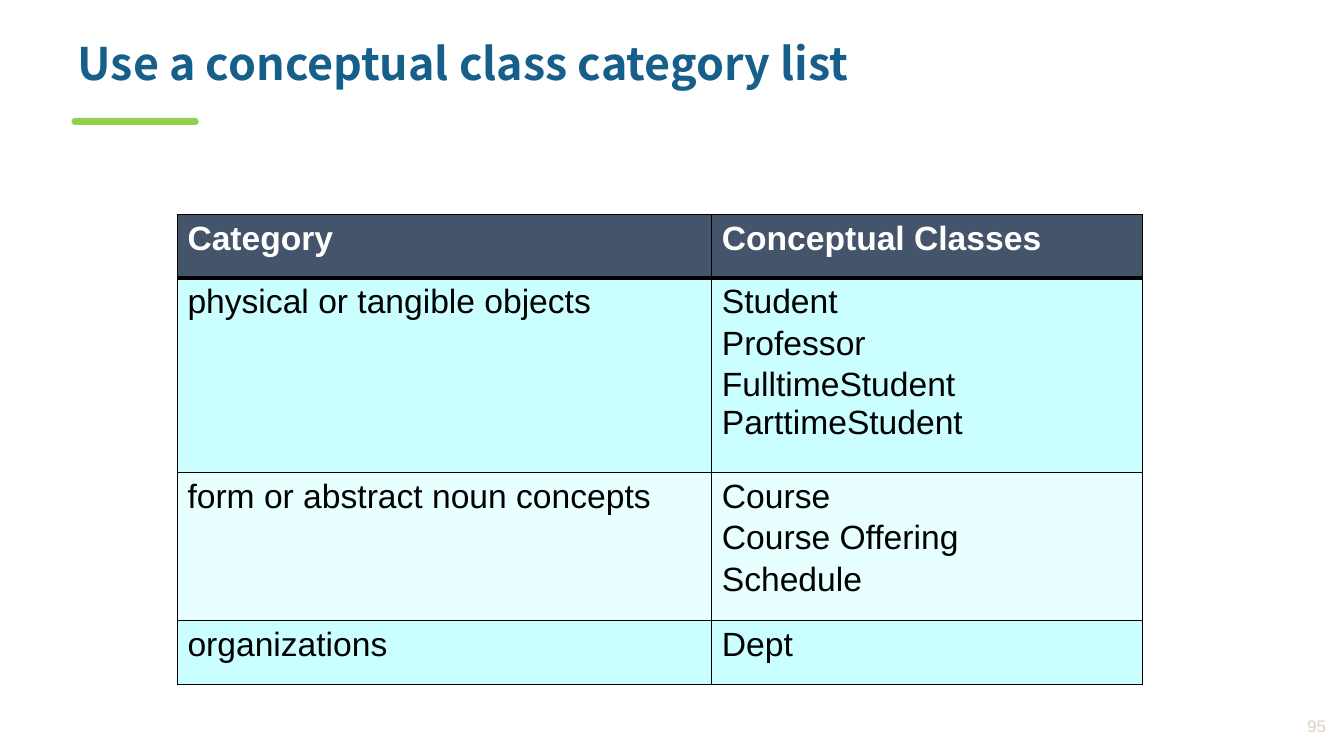
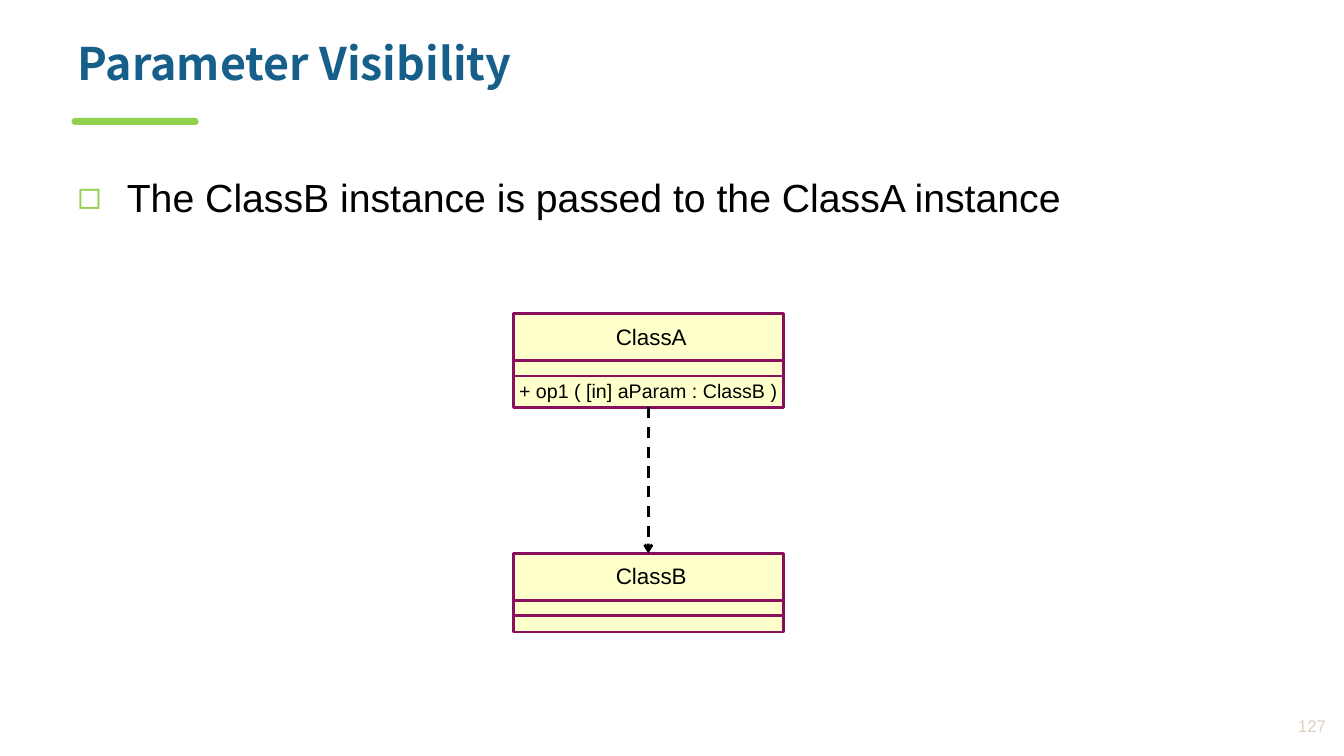
from dataclasses import dataclass

from lxml.etree import SubElement
from pptx import Presentation
from pptx.dml.color import RGBColor
from pptx.enum.dml import MSO_LINE
from pptx.enum.shapes import MSO_CONNECTOR, MSO_SHAPE
from pptx.enum.text import MSO_ANCHOR, MSO_AUTO_SIZE, PP_ALIGN
from pptx.oxml.ns import qn
from pptx.util import Inches, Pt

TITLE_BLUE = RGBColor(0x17, 0x5F, 0x8B)
ACCENT_GREEN = RGBColor(0x92, 0xD0, 0x50)
NUMBER_BEIGE = RGBColor(0xE0, 0xCF, 0xBD)
HEADER_SLATE = RGBColor(0x44, 0x54, 0x6A)
ROW_CYAN = RGBColor(0xCB, 0xFF, 0xFF)
ROW_PALE = RGBColor(0xE7, 0xFF, 0xFF)
CLASS_YELLOW = RGBColor(0xFF, 0xFF, 0xCC)
CLASS_PURPLE = RGBColor(0x8A, 0x0E, 0x5E)
BLACK = RGBColor(0, 0, 0)
WHITE = RGBColor(0xFF, 0xFF, 0xFF)
BODY_FONT = "Arial"
TITLE_FONT = "Noto Sans CJK SC"

CLASS_LEFT = 5.09
CLASS_WIDTH = 2.68
DIVIDER_OFFSETS = (0.47, 0.62)


@dataclass(frozen=True)
class CategoryRow:
    """One row of the category table."""

    category: str
    classes: tuple[str, ...]
    height: float
    fill: RGBColor


@dataclass(frozen=True)
class ClassBox:
    """A class with its name, attribute and operation compartments."""

    name: str
    top: float
    height: float


CATEGORY_ROWS = (
    CategoryRow("Category", ("Conceptual Classes",), 0.63, HEADER_SLATE),
    CategoryRow(
        "physical or tangible objects",
        ("Student", "Professor", "FulltimeStudent ParttimeStudent"),
        1.93,
        ROW_CYAN,
    ),
    CategoryRow(
        "form or abstract noun concepts",
        ("Course", "Course Offering", "Schedule"),
        1.47,
        ROW_PALE,
    ),
    CategoryRow("organizations", ("Dept",), 0.63, ROW_CYAN),
)
CLASS_A = ClassBox("ClassA", 3.11, 0.93)
CLASS_B = ClassBox("ClassB", 5.49, 0.78)


def style_font(paragraph, size: float, color: RGBColor, bold: bool = False, name: str = BODY_FONT) -> None:
    """Format every run of a paragraph."""
    for run in paragraph.runs:
        run.font.size = Pt(size)
        run.font.bold = bold
        run.font.color.rgb = color
        run.font.name = name
        properties = run.font._element
        SubElement(properties, qn("a:ea")).set("typeface", name)


def add_text(slide, left: float, top: float, width: float, height: float, text: str, size: float, color: RGBColor):
    """Add a wrapping text box and return it."""
    shape = slide.shapes.add_textbox(Inches(left), Inches(top), Inches(width), Inches(height))
    shape.text_frame.word_wrap = True
    shape.text_frame.text = text
    style_font(shape.text_frame.paragraphs[0], size, color)
    return shape


def add_filled_shape(slide, kind, left: float, top: float, width: float, height: float, fill: RGBColor):
    """Add a flat preset shape without an outline and return it."""
    shape = slide.shapes.add_shape(kind, Inches(left), Inches(top), Inches(width), Inches(height))
    shape.shadow.inherit = False
    shape.fill.solid()
    shape.fill.fore_color.rgb = fill
    shape.line.fill.background()
    return shape


def add_line(slide, start: tuple[float, float], end: tuple[float, float], color: RGBColor):
    """Add a straight two-point line and return it."""
    connector = slide.shapes.add_connector(MSO_CONNECTOR.STRAIGHT, *map(Inches, start + end))
    connector.line.color.rgb = color
    connector.line.width = Pt(2)
    SubElement(connector._element.spPr, qn("a:effectLst"))
    return connector


def add_titled_slide(presentation, title: str, number: int):
    """Add a slide with the shared title, accent bar and page number."""
    slide = presentation.slides.add_slide(presentation.slide_layouts[5])
    bar = add_filled_shape(slide, MSO_SHAPE.ROUND_2_SAME_RECTANGLE, 0.71, 1.17, 1.26, 0.07, ACCENT_GREEN)
    bar.adjustments[0] = bar.adjustments[1] = 0.5

    shape = slide.shapes.title
    shape.left, shape.top = Inches(0.67), Inches(0.41)
    shape.width, shape.height = Inches(12.19), Inches(0.75)
    frame = shape.text_frame
    frame.text = title
    frame.auto_size = MSO_AUTO_SIZE.NONE
    frame.vertical_anchor = MSO_ANCHOR.TOP
    frame.margin_top = 0
    paragraph = frame.paragraphs[0]
    paragraph.alignment = PP_ALIGN.LEFT
    paragraph.line_spacing = 0.9
    style_font(paragraph, 32, TITLE_BLUE, bold=True, name=TITLE_FONT)

    page = add_text(slide, 12.12, 7.01, 1.13, 0.38, str(number), 12, NUMBER_BEIGE)
    page.text_frame.vertical_anchor = MSO_ANCHOR.MIDDLE
    page.text_frame.paragraphs[0].alignment = PP_ALIGN.RIGHT
    return slide


def set_borders(cell, top: float, bottom: float) -> None:
    """Draw black borders around a cell, one point wide at the sides."""
    properties = cell._tc.get_or_add_tcPr()
    for side, width in (("L", 1), ("R", 1), ("T", top), ("B", bottom)):
        border = SubElement(properties, qn(f"a:ln{side}"), w=str(Pt(width)))
        fill = SubElement(border, qn("a:solidFill"))
        SubElement(fill, qn("a:srgbClr"), val=str(BLACK))


def add_category_table(slide, rows: tuple[CategoryRow, ...]) -> None:
    """Add the table of categories and their conceptual classes."""
    height = sum(row.height for row in rows)
    frame = slide.shapes.add_table(len(rows), 2, Inches(1.76), Inches(2.13), Inches(9.57), Inches(height))
    table = frame.table
    for column, width in zip(table.columns, (5.3, 4.27)):
        column.width = Inches(width)
    for index, row in enumerate(rows):
        table.rows[index].height = Inches(row.height)
        is_header = index == 0
        for cell, lines in zip(table.rows[index].cells, ((row.category,), row.classes)):
            set_borders(cell, 3 if index == 1 else 1, 3 if is_header else 1)
            cell.fill.solid()
            cell.fill.fore_color.rgb = row.fill
            cell.text_frame.text = "\n".join(lines)
            for position, paragraph in enumerate(cell.text_frame.paragraphs):
                if position:
                    paragraph.space_before = Pt(3)
                style_font(paragraph, 24, WHITE if is_header else BLACK, bold=is_header)


def add_bullet(slide, text: str) -> None:
    """Add the body statement with a square bullet."""
    shape = add_text(slide, 0.67, 1.48, 12.2, 1.01, text, 28, BLACK)
    shape.text_frame.margin_top = Inches(0.1)
    paragraph = shape.text_frame.paragraphs[0]
    paragraph.line_spacing = 1.3
    paragraph.space_after = Pt(3)
    properties = paragraph._p.get_or_add_pPr()
    properties.set("marL", str(Inches(0.49)))
    properties.set("indent", str(-Inches(0.49)))
    color = SubElement(properties, qn("a:buClr"))
    SubElement(color, qn("a:srgbClr"), val=str(ACCENT_GREEN))
    SubElement(properties, qn("a:buFont"), typeface=BODY_FONT)
    SubElement(properties, qn("a:buChar"), char="◻")


def add_class_box(slide, box: ClassBox):
    """Draw a class and return its outline."""
    outline = add_filled_shape(
        slide, MSO_SHAPE.RECTANGLE, CLASS_LEFT, box.top, CLASS_WIDTH, box.height, CLASS_YELLOW
    )
    outline.line.color.rgb = CLASS_PURPLE
    outline.line.width = Pt(2)
    for offset in DIVIDER_OFFSETS:
        level = box.top + offset
        add_line(slide, (CLASS_LEFT, level), (CLASS_LEFT + CLASS_WIDTH, level), CLASS_PURPLE)
    label = add_filled_shape(
        slide, MSO_SHAPE.RECTANGLE, CLASS_LEFT + 1.02, box.top + 0.09, 0.7, 0.27, CLASS_YELLOW
    )
    frame = label.text_frame
    frame.margin_left = frame.margin_right = frame.margin_top = frame.margin_bottom = 0
    frame.word_wrap = False
    frame.text = box.name
    frame.paragraphs[0].alignment = PP_ALIGN.CENTER
    style_font(frame.paragraphs[0], 16, BLACK)
    return outline


def add_dependency(slide, source, target) -> None:
    """Draw a dashed arrow from the bottom of one class to the top of another."""
    arrow = add_line(slide, (0, 0), (1, 1), BLACK)
    arrow.begin_connect(source, 2)
    arrow.end_connect(target, 0)
    arrow.line.dash_style = MSO_LINE.DASH
    SubElement(arrow.line._get_or_add_ln(), qn("a:tailEnd"), type="arrow")


def main() -> None:
    """Build and save the presentation."""
    presentation = Presentation()
    presentation.slide_width = Inches(13.33)
    presentation.slide_height = Inches(7.5)

    category_slide = add_titled_slide(presentation, "Use a conceptual class category list", 95)
    add_category_table(category_slide, CATEGORY_ROWS)

    visibility_slide = add_titled_slide(presentation, "Parameter Visibility", 127)
    add_bullet(visibility_slide, "The ClassB instance is passed to the ClassA instance")
    class_a, class_b = (add_class_box(visibility_slide, box) for box in (CLASS_A, CLASS_B))
    add_text(visibility_slide, 5.05, 3.71, 2.78, 0.34, "+ op1 ( [in] aParam : ClassB )", 14, BLACK)
    add_dependency(visibility_slide, class_a, class_b)

    presentation.save("out.pptx")


if __name__ == "__main__":
    main()
